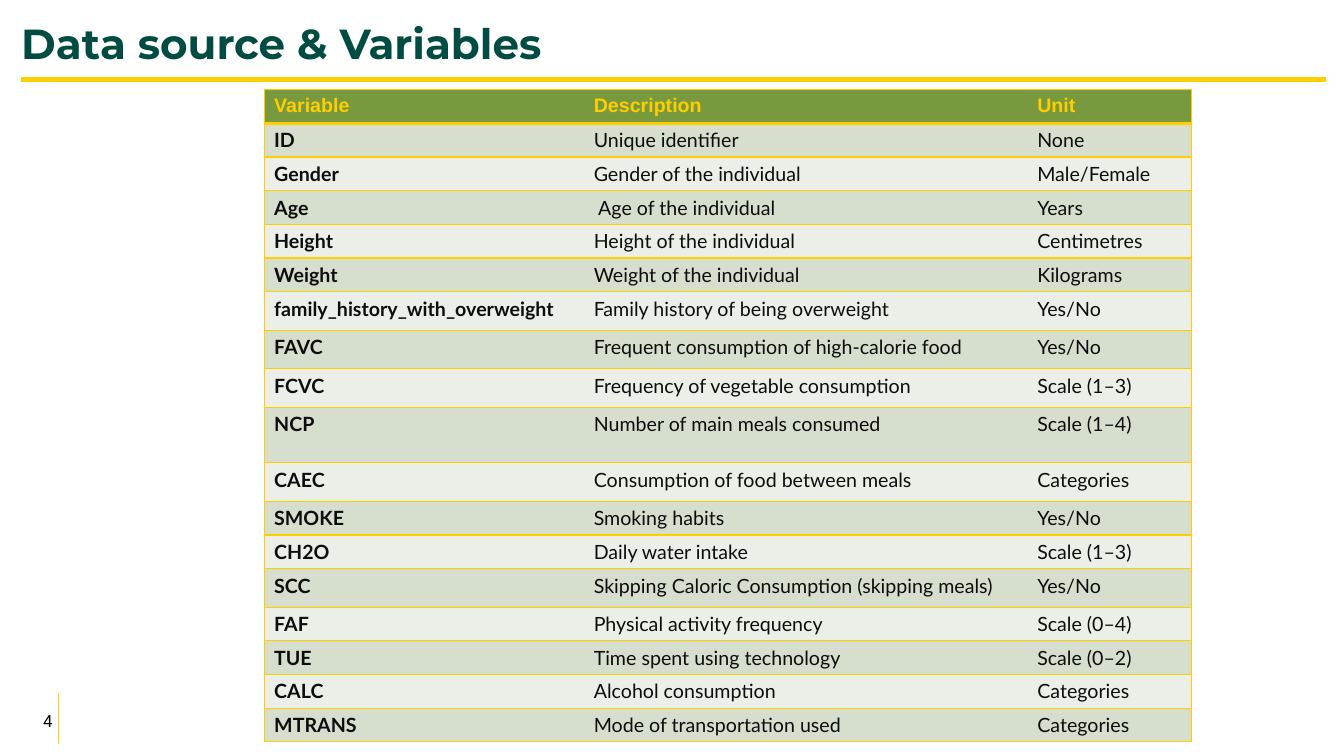
from dataclasses import dataclass

from lxml import etree
from pptx import Presentation
from pptx import util as u
from pptx.dml.color import RGBColor
from pptx.enum import shapes, text
from pptx.oxml.ns import qn

COLORS = {
    "gold": "FFCE00", "title": "004C42", "number": "000000", "ink": "0D0D0D",
    "header": "78993D", "odd": "D6DECE", "even": "ECEFE8",
}
WIDTH, HEIGHT = u.Inches(13.333), u.Inches(7.5)
COLUMN_WIDTHS = (23.78, 33, 12.22)
HEADER, NORMAL, ROOMY, TALL = 2.8, 4.27, 5.1, 7.35


@dataclass
class Rule:
    x1: float
    y1: float
    x2: float
    y2: float
    points: float


@dataclass
class Row:
    variable: str
    description: str
    unit: str
    height: float = NORMAL


RULES = (
    Rule(1.58, 10.53, 98.7, 10.53, 3),
    Rule(4.35, 91.73, 4.35, 98.4, 0.75),
)
ROWS = (
    Row("Variable", "Description", "Unit", HEADER),
    Row("ID", "Unique identifier", "None"),
    Row("Gender", "Gender of the individual", "Male/Female"),
    Row("Age", " Age of the individual", "Years"),
    Row("Height", "Height of the individual", "Centimetres"),
    Row("Weight", "Weight of the individual", "Kilograms"),
    Row("family_history_with_overweight", "Family history of being overweight", "Yes/No", ROOMY),
    Row("FAVC", "Frequent consumption of high-calorie food", "Yes/No", ROOMY),
    Row("FCVC", "Frequency of vegetable consumption", "Scale (1–3)", ROOMY),
    Row("NCP", "Number of main meals consumed", "Scale (1–4)", TALL),
    Row("CAEC", "Consumption of food between meals", "Categories", ROOMY),
    Row("SMOKE", "Smoking habits", "Yes/No"),
    Row("CH2O", "Daily water intake", "Scale (1–3)"),
    Row("SCC", "Skipping Caloric Consumption (skipping meals)", "Yes/No", ROOMY),
    Row("FAF", "Physical activity frequency", "Scale (0–4)"),
    Row("TUE", "Time spent using technology", "Scale (0–2)"),
    Row("CALC", "Alcohol consumption", "Categories"),
    Row("MTRANS", "Mode of transportation used", "Categories"),
)


def across(percent: float) -> int:
    return u.Emu(round(WIDTH * percent / 100))


def down(percent: float) -> int:
    return u.Emu(round(HEIGHT * percent / 100))


def rgb(name: str) -> RGBColor:
    return RGBColor.from_string(COLORS[name])


def set_all(target, formats: dict) -> None:
    for name, value in formats.items():
        setattr(target, name, value)


def write(tf, words: str, font: str, size: float, color: str, bold: bool = False):
    p = tf.paragraphs[0]
    r = p.add_run()
    r.text = words
    set_all(r.font, {"name": font, "size": u.Pt(size), "bold": bold})
    r.font.color.rgb = rgb(color)
    return p


def add_rule(s, rule: Rule) -> None:
    line = s.shapes.add_connector(
        shapes.MSO_CONNECTOR.STRAIGHT,
        across(rule.x1), down(rule.y1), across(rule.x2), down(rule.y2))
    line.line.color.rgb = rgb("gold")
    line.line.width = u.Pt(rule.points)
    etree.SubElement(line._element.spPr, qn("a:effectLst"))


def add_border(cell, side: str, points: float) -> None:
    """Draw one side of a cell, or clear it when points is zero."""
    ln = etree.SubElement(cell._tc.get_or_add_tcPr(), qn(f"a:ln{side}"), w=str(u.Pt(points)))
    if points:
        fill = etree.SubElement(ln, qn("a:solidFill"))
        etree.SubElement(fill, qn("a:srgbClr"), val=COLORS["gold"])
    else:
        etree.SubElement(ln, qn("a:noFill"))


def fill_cell(cell, words: str, row: int, column: int) -> None:
    is_header = row == 0
    last_column = len(COLUMN_WIDTHS) - 1
    # Borders come before the fill in a cell's properties.
    borders = {
        "L": 1 if column == 0 else 0,
        "R": 1 if column == last_column else 0,
        "T": 3 if row == 1 else 1,
        "B": 3 if is_header else 1,
    }
    for side, points in borders.items():
        add_border(cell, side, points)
    cell.fill.solid()
    cell.fill.fore_color.rgb = rgb("header" if is_header else "odd" if row % 2 else "even")
    if is_header:
        write(cell.text_frame, words, "Arial", 14, "gold", True)
    else:
        write(cell.text_frame, words, "Lato", 14, "ink", column == 0)


def add_variables(s) -> None:
    frame = s.shapes.add_table(
        len(ROWS), len(COLUMN_WIDTHS), across(19.65), down(11.87),
        across(sum(COLUMN_WIDTHS)), down(sum(row.height for row in ROWS)))
    table = frame.table
    for column, width in zip(table.columns, COLUMN_WIDTHS):
        column.width = across(width)
    for i, row in enumerate(ROWS):
        table.rows[i].height = down(row.height)
        for j, words in enumerate((row.variable, row.description, row.unit)):
            fill_cell(table.cell(i, j), words, i, j)


def add_title(s, words: str) -> None:
    sp = s.shapes.title
    set_all(sp, {"left": across(1.58), "top": 0, "width": across(97.2), "height": down(9.07)})
    tf = sp.text_frame
    set_all(tf, {
        "margin_left": 0, "margin_top": 0, "margin_right": 0, "margin_bottom": 0,
        "vertical_anchor": text.MSO_ANCHOR.BOTTOM, "word_wrap": True,
        "auto_size": text.MSO_AUTO_SIZE.NONE,
    })
    p = write(tf, words, "Montserrat", 30, "title", True)
    set_all(p, {"alignment": text.PP_ALIGN.LEFT, "line_spacing": 0.9})


def add_page_number(s, number: str) -> None:
    tf = s.shapes.add_textbox(0, down(92.67), across(4.65), down(5.33)).text_frame
    set_all(tf, {"word_wrap": True, "vertical_anchor": text.MSO_ANCHOR.MIDDLE})
    write(tf, number, "Roboto", 12, "number").alignment = text.PP_ALIGN.RIGHT


def main() -> None:
    prs = Presentation()
    set_all(prs, {"slide_width": WIDTH, "slide_height": HEIGHT})
    s = prs.slides.add_slide(prs.slide_layouts.get_by_name("Title Only"))
    for rule in RULES:
        add_rule(s, rule)
    add_page_number(s, "4")
    add_title(s, "Data source & Variables")
    add_variables(s)
    prs.save("out.pptx")


if __name__ == "__main__":
    main()
